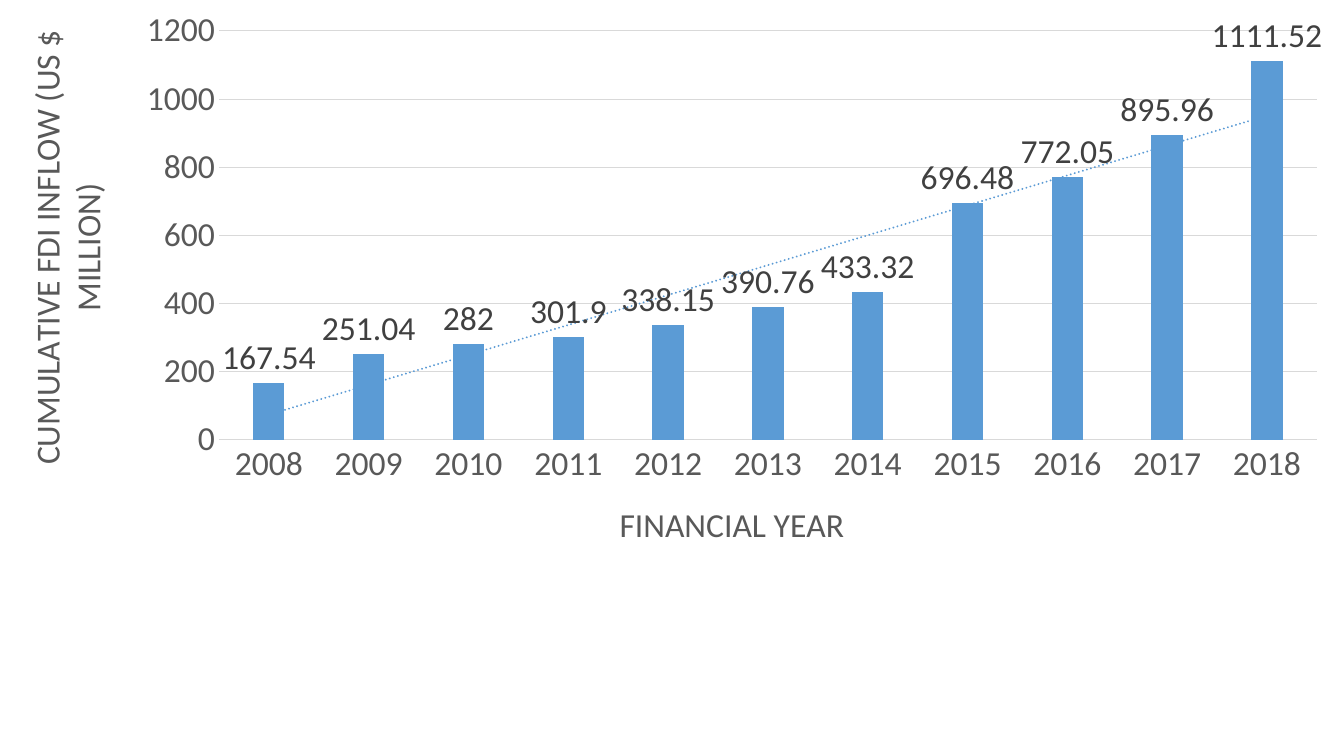
from lxml import etree
from pptx import Presentation
from pptx import util as u
from pptx.chart.data import CategoryChartData
from pptx.dml.color import RGBColor
from pptx.enum import chart as kinds
from pptx.oxml import parse_xml
from pptx.oxml.ns import nsdecls

PIXEL = 9071.43  # EMU per pixel at 100.8 pixels to the inch
WIDTH, HEIGHT = 1344, 574
COLOURS = {"bar": "5B9BD5", "grid": "D9D9D9", "axis": "595959", "label": "404040"}
INFLOWS = [167.54, 251.04, 282, 301.9, 338.15, 390.76,
           433.32, 696.48, 772.05, 895.96, 1111.52]


def style_font(font, colour):
    """Set the chart's typeface and size in the given colour."""
    font.name = "Calibri"
    font.size = u.Pt(24)
    font.bold = False
    font.color.rgb = RGBColor.from_string(COLOURS[colour])


def style_line(line):
    """Draw a thin grey chart line."""
    line.width = u.Pt(0.75)
    line.color.rgb = RGBColor.from_string(COLOURS["grid"])


deck = Presentation()
deck.slide_width = u.Emu(round(1344 * PIXEL))
deck.slide_height = u.Emu(round(756 * PIXEL))
page = deck.slides.add_slide(deck.slide_layouts[6])

data = CategoryChartData()
data.categories = [str(2008 + step) for step in range(len(INFLOWS))]
data.add_series("Series 1", INFLOWS)
frame = page.shapes.add_chart(
    kinds.XL_CHART_TYPE.COLUMN_CLUSTERED, u.Emu(round(PIXEL)), 0,
    u.Emu(round(WIDTH * PIXEL)), u.Emu(round(HEIGHT * PIXEL)), data)
chart = frame.chart
chart.has_legend = False
chart.has_title = False
style_font(chart.font, "axis")

# Bars and their values
plot = chart.plots[0]
plot.gap_width = 219
plot.overlap = -27
plot.vary_by_categories = False
bars = plot.series[0]
bars.format.fill.solid()
bars.format.fill.fore_color.rgb = RGBColor.from_string(COLOURS["bar"])
labels = bars.data_labels
labels.show_value = True
labels.position = kinds.XL_LABEL_POSITION.OUTSIDE_END
style_font(labels.font, "label")

# Dotted linear trend
trend = parse_xml(
    f'<c:trendline {nsdecls("c", "a")}><c:spPr><a:ln w="19050" cap="rnd">'
    f'<a:solidFill><a:srgbClr val="{COLOURS["bar"]}"/></a:solidFill>'
    '<a:prstDash val="sysDot"/></a:ln></c:spPr><c:trendlineType val="linear"/>'
    '<c:dispRSqr val="0"/><c:dispEq val="0"/></c:trendline>')
labels._element.addnext(trend)

# Axes
years, amounts = chart.category_axis, chart.value_axis
for axis, title in ((years, "FINANCIAL YEAR"),
                    (amounts, "CUMULATIVE FDI INFLOW (US $ MILLION)")):
    axis.major_tick_mark = axis.minor_tick_mark = kinds.XL_TICK_MARK.NONE
    style_font(axis.tick_labels.font, "axis")
    span = axis.axis_title.text_frame.paragraphs[0].add_run()
    span.text = title
    style_font(span.font, "axis")
style_line(years.format.line)
amounts.format.line.fill.background()
amounts.minimum_scale, amounts.maximum_scale, amounts.major_unit = 0, 1200, 200
amounts.has_major_gridlines = True
style_line(amounts.major_gridlines.format.line)

# Place the plot area inside the chart
area = chart._chartSpace.chart.plotArea
for old in area.findall("{*}layout"):
    area.remove(old)
layout = parse_xml(f'<c:layout {nsdecls("c")}><c:manualLayout/></c:layout>')
settings = {"layoutTarget": "inner", "xMode": "edge", "yMode": "edge",
            "x": 218 / WIDTH, "y": 31 / HEIGHT,
            "w": 1098 / WIDTH, "h": 409 / HEIGHT}
for name, value in settings.items():
    tag = etree.QName(layout.nsmap["c"], name)
    etree.SubElement(layout[0], tag).set("val", str(value))
area.insert(0, layout)

deck.save("out.pptx")
